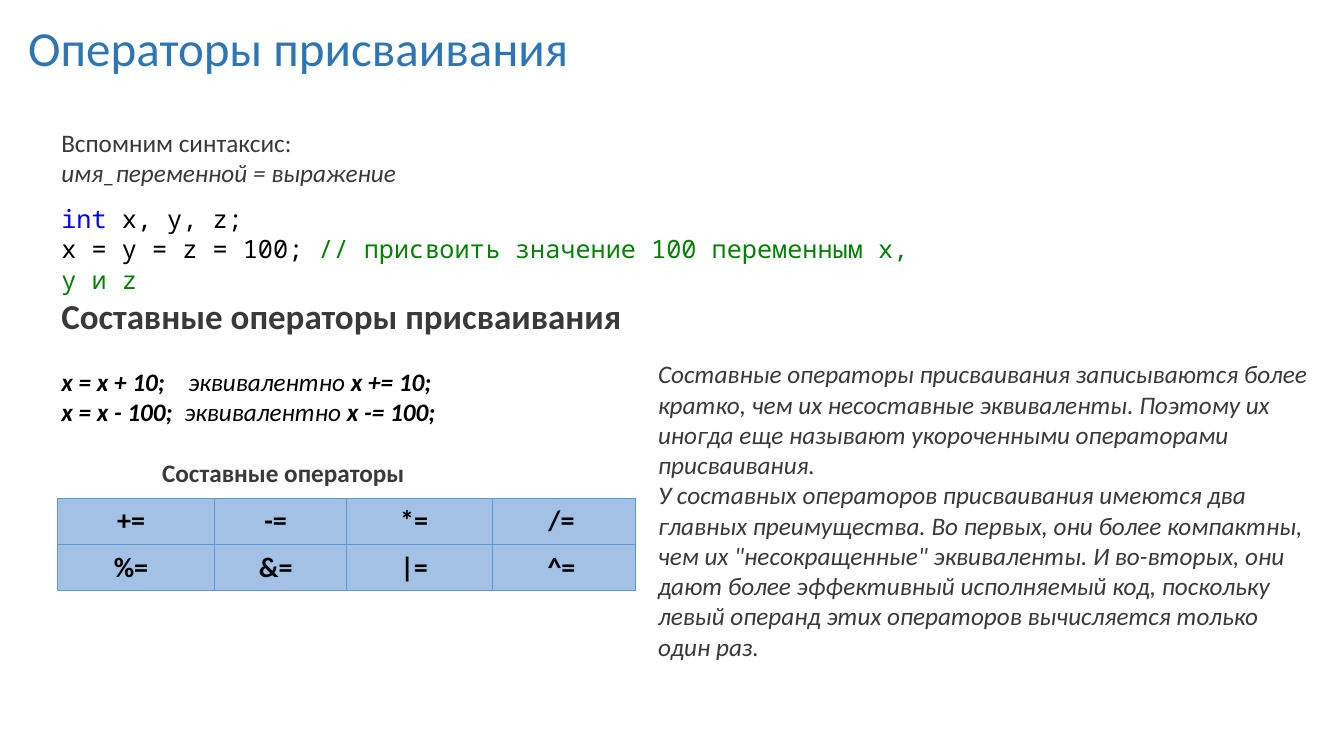
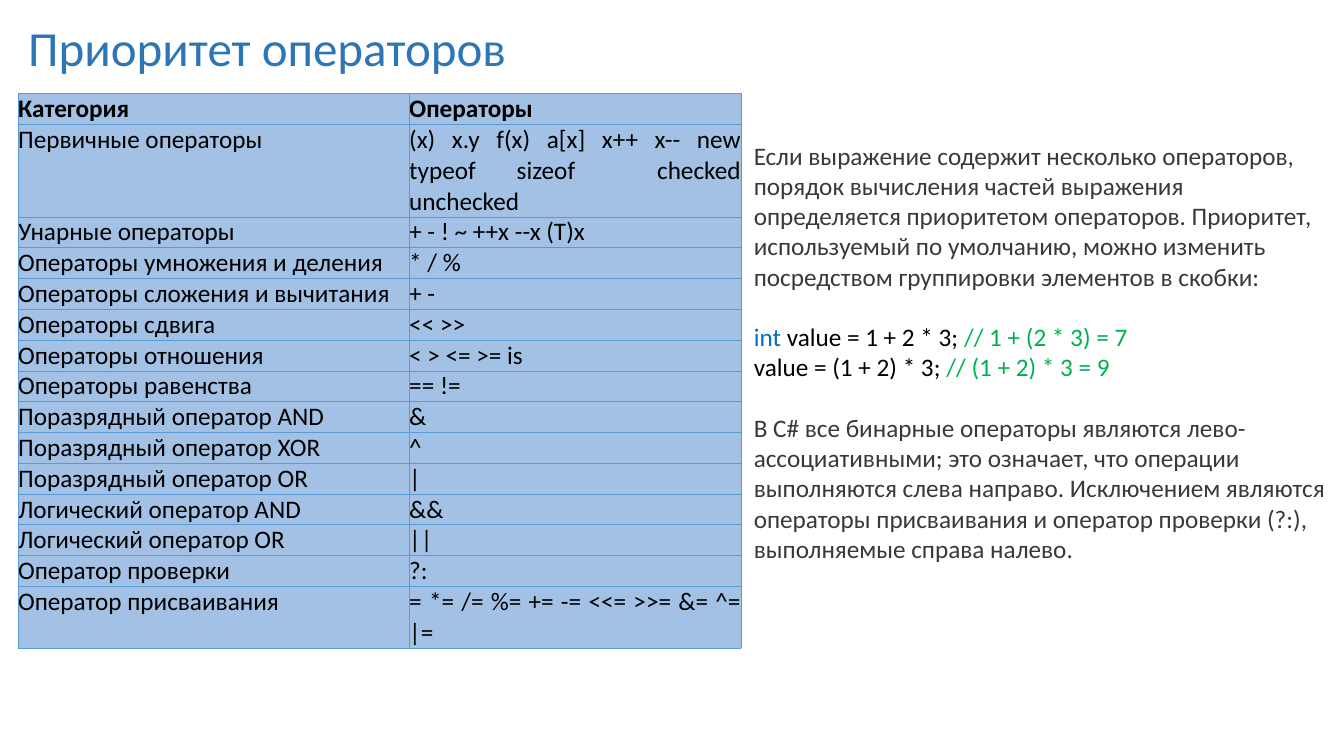
from dataclasses import dataclass
from typing import NamedTuple

from lxml import etree
from pptx import Presentation
from pptx.dml.color import RGBColor
from pptx.enum.text import MSO_ANCHOR, MSO_AUTO_SIZE, PP_ALIGN
from pptx.oxml.ns import qn
from pptx.slide import Slide
from pptx.text.text import TextFrame, _Paragraph
from pptx.util import Emu, Inches, Pt

LEFT, CENTER, JUSTIFY = PP_ALIGN.LEFT, PP_ALIGN.CENTER, PP_ALIGN.JUSTIFY
TOP = MSO_ANCHOR.TOP
FIXED_SIZE = MSO_AUTO_SIZE.NONE

SLIDE_WIDTH, SLIDE_HEIGHT = Inches(13.33), Inches(7.5)
GRID_COLUMNS, GRID_ROWS = 160, 90
TITLE_ONLY = 5


@dataclass(frozen=True)
class Theme:
    title: str = "2E75B6"
    body: str = "3B3838"
    code: str = "000000"
    keyword: str = "0000FF"
    comment: str = "008000"
    type_name: str = "0070C0"
    remark: str = "00B050"
    cell: str = "A3C1E5"
    border: str = "5B9BD5"
    font: str = "Calibri"
    mono: str = "Noto Sans Mono"
    title_size: int = 35
    heading_size: int = 25
    operator_size: int = 20
    body_size: int = 18
    blank_line: float = 21.6
    border_width: float = 0.5


THEME = Theme()


class Box(NamedTuple):
    column: float
    row: float
    columns: float
    rows: float


class Span(NamedTuple):
    text: str
    color: str = THEME.body
    bold: bool = False
    italic: bool = False
    size: int = THEME.body_size
    font: str = THEME.font


class Line(NamedTuple):
    spans: list[Span]
    before: float = 0
    tab: float = 0
    align: PP_ALIGN = LEFT


class Passage(NamedTuple):
    box: Box
    lines: list[Line]
    wrap: bool = True


class Grid(NamedTuple):
    column: float
    row: float
    widths: list[float]
    heights: list[float]
    cells: list[list[str]]
    margins: dict[str, float]
    size: int
    align: PP_ALIGN
    bold_rows: int


def across(columns: float) -> Emu:
    return Emu(round(SLIDE_WIDTH * columns / GRID_COLUMNS))


def down(rows: float) -> Emu:
    return Emu(round(SLIDE_HEIGHT * rows / GRID_ROWS))


def place(box: Box) -> tuple[Emu, Emu, Emu, Emu]:
    return across(box.column), down(box.row), across(box.columns), down(box.rows)


def apply(target: object, values: dict) -> None:
    for name, value in values.items():
        setattr(target, name, value)


def add_tab_stop(paragraph: _Paragraph, position: float) -> None:
    stops = etree.SubElement(paragraph._p.get_or_add_pPr(), qn("a:tabLst"))
    etree.SubElement(stops, qn("a:tab"), pos=str(Inches(position)), algn="l")


def write(frame: TextFrame, lines: list[Line]) -> None:
    for index, line in enumerate(lines):
        paragraph = frame.add_paragraph() if index else frame.paragraphs[0]
        apply(paragraph, {"alignment": line.align, "space_before": Pt(line.before)})
        if line.tab:
            add_tab_stop(paragraph, line.tab)
        for span in line.spans:
            run = paragraph.add_run()
            run.text = span.text
            apply(run.font, {"name": span.font, "size": Pt(span.size),
                             "bold": span.bold, "italic": span.italic})
            run.font.color.rgb = RGBColor.from_string(span.color)


def add_titled_slide(deck: Presentation, title: str, columns: float) -> Slide:
    slide = deck.slides.add_slide(deck.slide_layouts[TITLE_ONLY])
    heading = slide.shapes.title
    left, top, width, height = place(Box(2.16, 1.44, columns, 8.28))
    apply(heading, {"left": left, "top": top, "width": width, "height": height})
    apply(heading.text_frame, {"word_wrap": False, "auto_size": FIXED_SIZE,
                               "vertical_anchor": TOP})
    write(heading.text_frame, [Line([Span(title, THEME.title, size=THEME.title_size)])])
    return slide


def add_passage(slide: Slide, passage: Passage) -> None:
    frame = slide.shapes.add_textbox(*place(passage.box)).text_frame
    apply(frame, {"word_wrap": passage.wrap, "auto_size": FIXED_SIZE})
    write(frame, passage.lines)


def add_grid(slide: Slide, grid: Grid) -> None:
    box = Box(grid.column, grid.row, sum(grid.widths), sum(grid.heights))
    table = slide.shapes.add_table(
        len(grid.heights), len(grid.widths), *place(box)).table
    apply(table, {"first_row": False, "horz_banding": False})
    for column, width in zip(table.columns, grid.widths):
        column.width = across(width)
    for row, height in zip(table.rows, grid.heights):
        row.height = down(height)
    for row_index, texts in enumerate(grid.cells):
        for column_index, text in enumerate(texts):
            cell = table.cell(row_index, column_index)
            apply(cell, {f"margin_{side}": Inches(size)
                         for side, size in grid.margins.items()})
            properties = cell._tc.get_or_add_tcPr()
            for edge in ("a:lnL", "a:lnR", "a:lnT", "a:lnB"):
                border = etree.SubElement(properties, qn(edge),
                                          w=str(Pt(THEME.border_width)))
                fill = etree.SubElement(border, qn("a:solidFill"))
                etree.SubElement(fill, qn("a:srgbClr"), val=THEME.border)
            cell.fill.solid()
            cell.fill.fore_color.rgb = RGBColor.from_string(THEME.cell)
            span = Span(text, THEME.code, row_index < grid.bold_rows, size=grid.size)
            write(cell.text_frame, [Line([span], align=grid.align)])


def mono(text: str, color: str = THEME.code) -> Span:
    return Span(text, color, font=THEME.mono)


def equivalence(full: str, short: str, tab: float, before: float = 0) -> Line:
    return Line([
        Span(f"{full}\t", THEME.code, True, True),
        Span("эквивалентно ", THEME.code, italic=True),
        Span(short, THEME.code, True, True),
    ], before, tab)


ASSIGNMENT = [
    Passage(Box(6.12, 14.52, 42.72, 8.52), [
        Line([Span("Вспомним синтаксис:")]),
        Line([Span("имя_переменной = выражение", italic=True)]),
    ], wrap=False),
    Passage(Box(6.12, 23.64, 106.2, 8.52), [
        Line([mono("int ", THEME.keyword), mono("х, у, z;")]),
        Line([mono("х = у = z = 100; "),
              mono("// присвоить значение 100 переменным х, у и z", THEME.comment)]),
    ]),
    Passage(Box(6.12, 34.44, 80.04, 24.48), [
        Line([Span("Составные операторы присваивания", bold=True,
                   size=THEME.heading_size)]),
        equivalence("х = х + 10;", "х += 10;", 1.26, THEME.blank_line),
        equivalence("х = х - 100;", "x -= 100;", 1.22),
        Line([Span("\tСоставные операторы", bold=True)], THEME.blank_line, 1),
    ]),
    Passage(Box(77.16, 42.12, 80.04, 44.88), [
        Line([Span("Составные операторы присваивания записываются более кратко, "
                   "чем их несоставные эквиваленты. Поэтому их иногда еще называют "
                   "укороченными операторами присваивания.", italic=True)]),
        Line([Span("У составных операторов присваивания имеются два главных "
                   "преимущества. Во первых, они более компактны, чем их "
                   "\"несокращенные\" эквиваленты. И во-вторых, они дают более "
                   "эффективный исполняемый код, поскольку левый операнд этих "
                   "операторов вычисляется только один раз.", italic=True)]),
    ]),
]

COMPOUND_OPERATORS = Grid(
    6.84, 59.28, [18.72, 15.72, 17.28, 17.04], [5.5] * 2,
    [["+=", "-=", "*=", " /="], ["%=", "&=", "|=", " ^="]],
    {"left": 0, "top": 0.06, "right": 0.1, "bottom": 0.06},
    THEME.operator_size, CENTER, bold_rows=2)

PRECEDENCE = Passage(Box(88.56, 16.08, 71.52, 55.68), [
    Line([Span("Если выражение содержит несколько операторов, порядок вычисления "
               "частей выражения определяется приоритетом операторов. Приоритет, "
               "используемый по умолчанию, можно изменить посредством группировки "
               "элементов в скобки:")]),
    Line([Span("int ", THEME.type_name), Span("value = 1 + 2 * 3; ", THEME.code),
          Span("// 1 + (2 * 3) = 7", THEME.remark)], THEME.blank_line),
    Line([Span("value = (1 + 2) * 3; ", THEME.code),
          Span("// (1 + 2) * 3 = 9", THEME.remark)]),
    Line([Span("В C# все бинарные операторы являются лево-ассоциативными; это "
               "означает, что операции выполняются слева направо. Исключением "
               "являются операторы присваивания и оператор проверки (?:), "
               "выполняемые справа налево.")], THEME.blank_line),
])

CATEGORIES = [
    ["Категория", "Операторы"],
    ["Первичные операторы",
     "(x) x.y f(x) a[x] x++ x-- new typeof sizeof  checked unchecked"],
    ["Унарные операторы", "+ - ! ~ ++x --x (T)x"],
    ["Операторы умножения и деления", "* / %"],
    ["Операторы сложения и вычитания", "+ -"],
    ["Операторы сдвига", "<< >>"],
    ["Операторы отношения", "< > <= >= is"],
    ["Операторы равенства", "== !="],
    ["Поразрядный оператор AND", "&"],
    ["Поразрядный оператор XOR", "^"],
    ["Поразрядный оператор OR", "|"],
    ["Логический оператор AND", "&&"],
    ["Логический оператор OR", "||"],
    ["Оператор проверки", "?:"],
    ["Оператор присваивания", "= *= /= %= += -= <<= >>= &= ^= |="],
]

OPERATOR_CATEGORIES = Grid(
    2.16, 11.16, [46.56, 39.48], [3.6, 7.08] + [3.6] * (len(CATEGORIES) - 2),
    CATEGORIES, dict.fromkeys(("left", "top", "right", "bottom"), 0),
    THEME.body_size, JUSTIFY, bold_rows=1)


def main() -> None:
    deck = Presentation()
    apply(deck, {"slide_width": SLIDE_WIDTH, "slide_height": SLIDE_HEIGHT})
    assignment = add_titled_slide(deck, "Операторы присваивания", 67.2)
    for passage in ASSIGNMENT:
        add_passage(assignment, passage)
    add_grid(assignment, COMPOUND_OPERATORS)
    precedence = add_titled_slide(deck, "Приоритет операторов", 59.52)
    add_passage(precedence, PRECEDENCE)
    add_grid(precedence, OPERATOR_CATEGORIES)
    deck.save("out.pptx")


if __name__ == "__main__":
    main()
